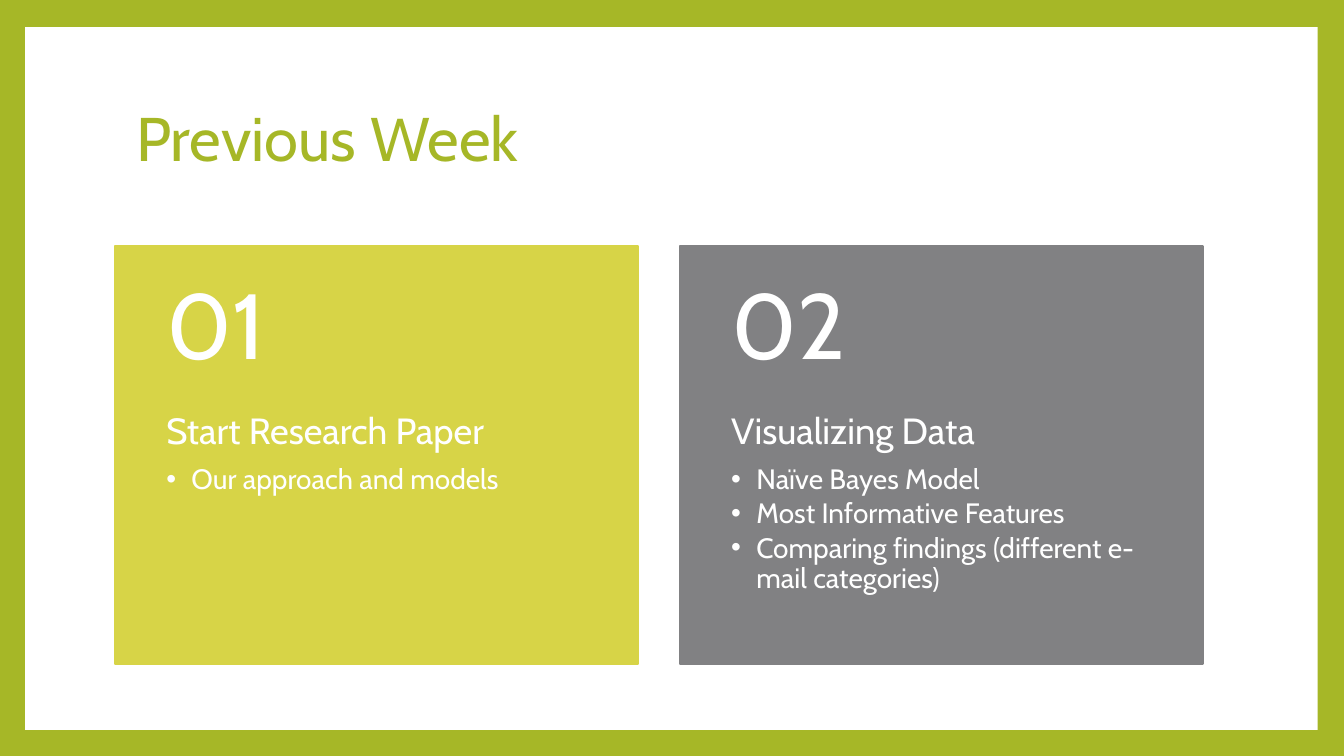
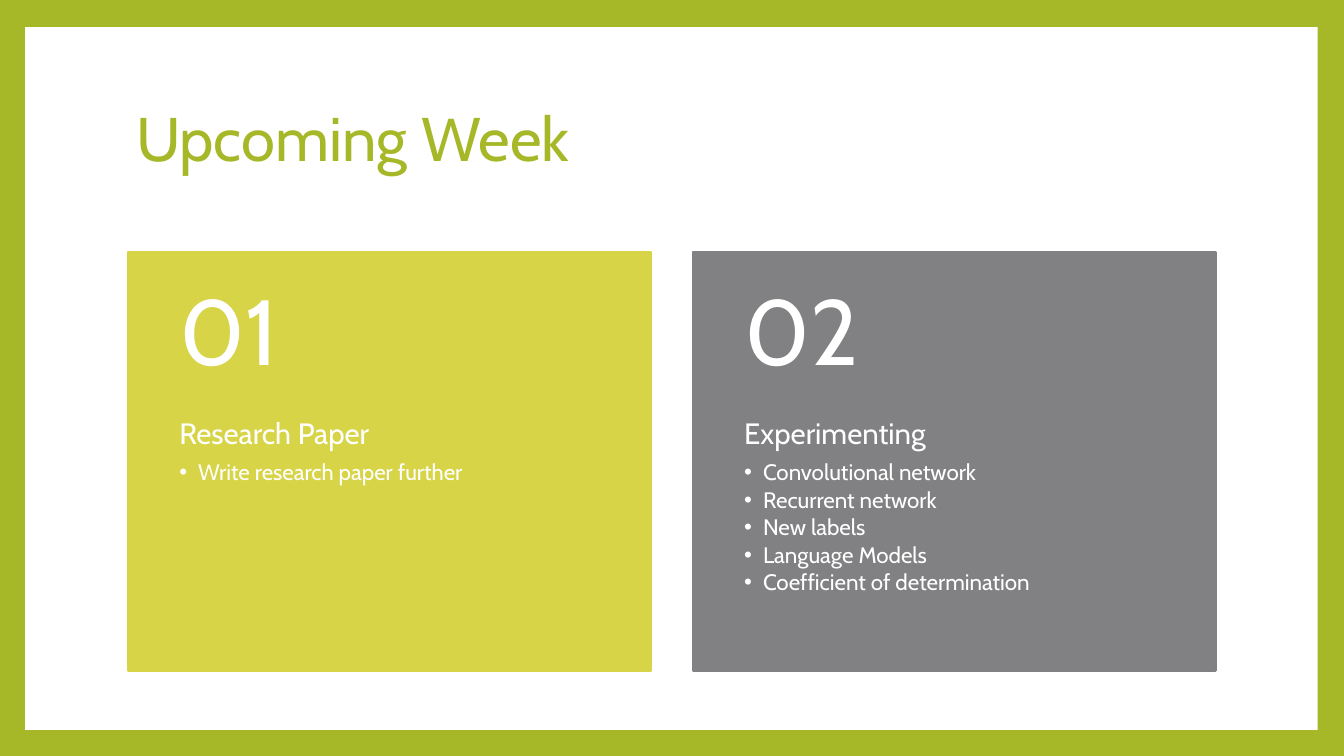
from lxml.etree import SubElement
from pptx import Presentation
from pptx.dml.color import RGBColor
from pptx.enum.shapes import MSO_SHAPE
from pptx.enum.text import MSO_ANCHOR, MSO_AUTO_SIZE, PP_ALIGN
from pptx.oxml.ns import qn
from pptx.util import Pt

# Shared style
GREEN = RGBColor(0xA6, 0xB7, 0x27)
LIME = RGBColor(0xD7, 0xD4, 0x47)
GRAY = RGBColor(0x81, 0x81, 0x83)
WHITE = RGBColor(0xFF, 0xFF, 0xFF)
FONT = "Cabin"
TITLE_ONLY = 5

# Card geometry, in points
CARD_W, CARD_H = 373.5, 299
NUMBER_H = 119.5
CARD_STEP = 403.5
SIDE_INSET = 36.8
CARD_FILLS = (LIME, GRAY)


def add_rect(shapes, x, y, w, h, color, line=None):
    s = shapes.add_shape(MSO_SHAPE.RECTANGLE, Pt(x), Pt(y), Pt(w), Pt(h))
    s.shadow.inherit = False
    s.fill.solid()
    s.fill.fore_color.rgb = color
    if line:
        s.line.color.rgb = color
        s.line.width = Pt(line)
    else:
        s.line.fill.background()
    return s


def format_paragraph(p, size, color, after=0):
    """Set the type style; after is a share of the font size."""
    p.alignment = PP_ALIGN.LEFT
    p.line_spacing = 0.9
    p.space_before = Pt(0)
    p.space_after = Pt(round(size * after, 2))
    for r in p.runs:
        r.font.name = FONT
        r.font.size = Pt(size)
        r.font.color.rgb = color


def add_bullet(p, indent):
    p.level = 1
    pPr = p._p.get_or_add_pPr()
    pPr.set("marL", str(Pt(indent)))
    pPr.set("indent", str(-Pt(indent)))
    SubElement(pPr, qn("a:buFont")).set("typeface", "Arial")
    SubElement(pPr, qn("a:buChar")).set("char", "•")


def add_text_area(shapes, x, y, h, top, bottom, anchor):
    tf = shapes.add_textbox(Pt(x), Pt(y), Pt(CARD_W), Pt(h)).text_frame
    tf.word_wrap = True
    tf.vertical_anchor = anchor
    tf.margin_left = tf.margin_right = Pt(SIDE_INSET)
    tf.margin_top, tf.margin_bottom = Pt(top), Pt(bottom)
    return tf


def add_card(slide, x, y, color, number, heading, bullets, sizes):
    heading_size, bullet_size, indent = sizes
    shapes = slide.shapes.add_group_shape().shapes
    add_rect(shapes, x, y, CARD_W, CARD_H, color, line=1.5)

    # Heading and bullets
    tf = add_text_area(shapes, x, y + NUMBER_H, CARD_H - NUMBER_H,
                       0, 26, MSO_ANCHOR.TOP)
    tf.text = "\n".join([heading, *bullets])
    first, *rest = tf.paragraphs
    format_paragraph(first, heading_size, WHITE, after=0.35)
    for p in rest:
        format_paragraph(p, bullet_size, WHITE, after=0.15)
        add_bullet(p, indent)

    # Card number
    tf = add_text_area(shapes, x, y, NUMBER_H, 13, 13, MSO_ANCHOR.MIDDLE)
    tf.text = f"{number:02}"
    format_paragraph(tf.paragraphs[0], 66, WHITE, after=0.35)


def add_title(slide, text):
    title = slide.shapes.title
    title.left, title.top = Pt(90), Pt(48)
    title.width, title.height = Pt(777.6), Pt(106.6)
    tf = title.text_frame
    tf.text = text
    tf.auto_size = MSO_AUTO_SIZE.NONE
    tf.vertical_anchor = MSO_ANCHOR.MIDDLE
    format_paragraph(tf.paragraphs[0], 44, GREEN)


def style_master(prs, slide):
    """Give the master a green border around a white panel."""
    master = prs.slide_master
    master.background.fill.solid()
    master.background.fill.fore_color.rgb = GREEN
    panel = add_rect(slide.shapes, 18, 19.4, 923.2, 502, WHITE).element
    panel.nvSpPr.cNvPr.set("id", "100")
    master.shapes.element.insert(2, panel)


def add_week(prs, title, x, y, sizes, cards):
    slide = prs.slides.add_slide(prs.slide_layouts[TITLE_ONLY])
    add_title(slide, title)
    for i, (color, (heading, bullets)) in enumerate(zip(CARD_FILLS, cards)):
        add_card(slide, x + i * CARD_STEP, y, color, i + 1,
                 heading, bullets, sizes)
    return slide


def main():
    prs = Presentation()
    prs.slide_width, prs.slide_height = Pt(960), Pt(540)

    # Previous week
    slide = add_week(prs, "Previous Week", 82, 175.5, (26, 20, 18), [
        ("Start Research Paper", ["Our approach and models"]),
        ("Visualizing Data", [
            "Naïve Bayes Model",
            "Most Informative Features",
            "Comparing findings (different e-mail categories)",
        ]),
    ])
    style_master(prs, slide)

    # Upcoming week
    add_week(prs, "Upcoming Week", 91.3, 180, (21, 16, 13.5), [
        ("Research Paper", ["Write research paper further"]),
        ("Experimenting", [
            "Convolutional network",
            "Recurrent network",
            "New labels",
            "Language Models",
            "Coefficient of determination",
        ]),
    ])
    prs.save("out.pptx")


if __name__ == "__main__":
    main()
